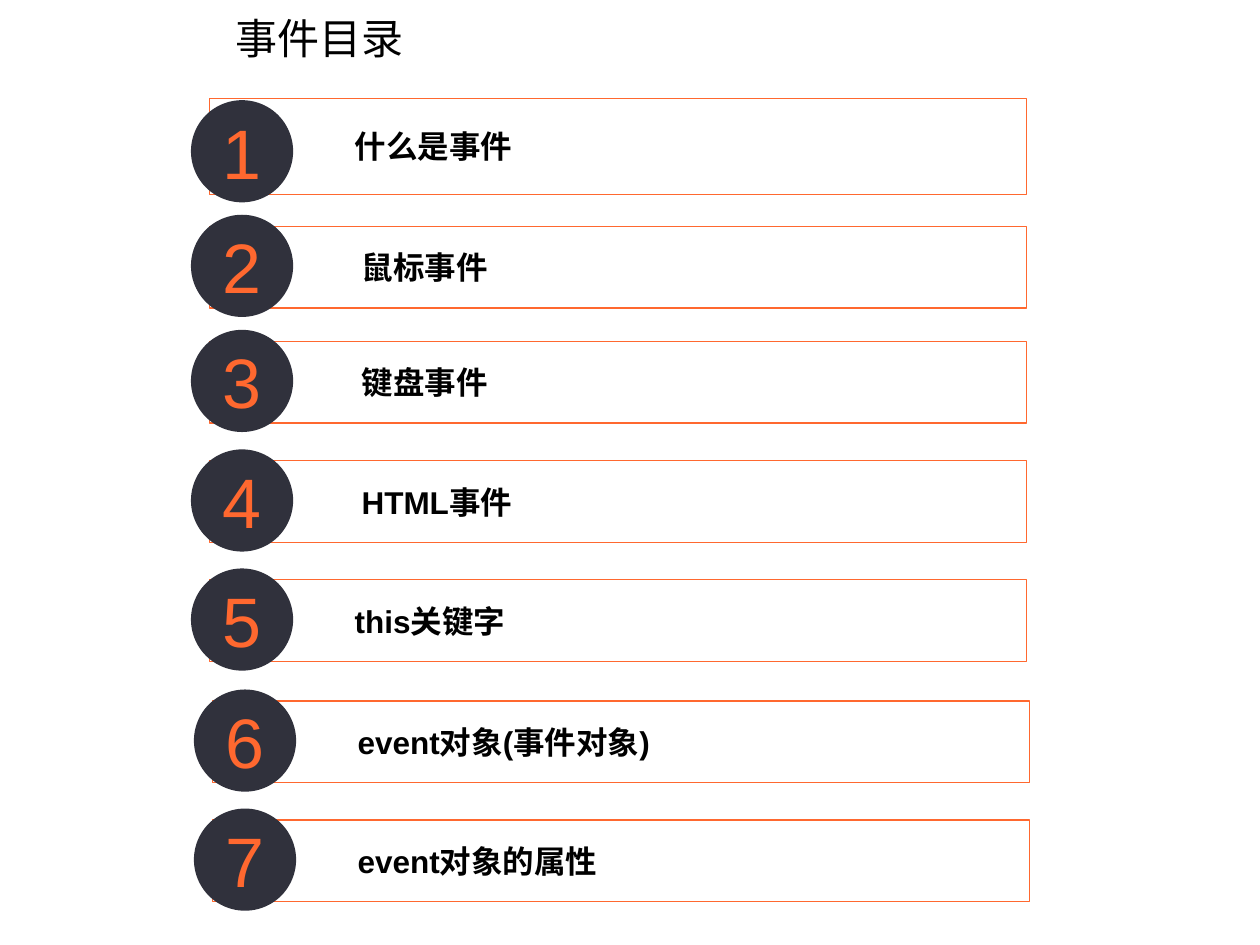
from typing import NamedTuple

from lxml import etree
from pptx import Presentation
from pptx.dml.color import RGBColor
from pptx.enum import shapes, text
from pptx.oxml import ns
from pptx.util import Cm, Pt

ORANGE, DARK, WHITE, BLACK = "FF682F", "30313C", "FFFFFF", "000000"
LATIN, CHINESE = "Arial", "Noto Sans CJK SC"

BAR_LEFT, BAR_WIDTH, BAR_HEIGHT = 4.23, 16.47, 1.65
BADGE_LEFT, BADGE_SIZE, BADGE_RISE = 3.85, 2.06, 0.23
LABEL_INSET, LABEL_INDENT = 2.92, 0.14


class Topic(NamedTuple):
    label: str
    top: float
    height: float = BAR_HEIGHT
    rise: float = BADGE_RISE
    shift: float = 0
    indent: float = 0


TOPICS = [
    Topic("什么是事件", 1.98, height=1.94, rise=-0.04),
    Topic("鼠标事件", 4.56, indent=LABEL_INDENT),
    Topic("键盘事件", 6.88, indent=LABEL_INDENT),
    Topic("HTML事件", 9.29, indent=LABEL_INDENT),
    Topic("this关键字", 11.69),
    Topic("event对象(事件对象)", 14.13, shift=0.06),
    Topic("event对象的属性", 16.53, shift=0.06),
]


def color(hex_code: str) -> RGBColor:
    return RGBColor.from_string(hex_code)


def write(shape, words: str, *, size: float, ink: str = BLACK, bold: bool = False,
          font: str = LATIN, align=text.PP_ALIGN.LEFT, anchor=text.MSO_ANCHOR.MIDDLE,
          insets: tuple = (0.25, 0.13, 0.25, 0.13)) -> None:
    frame = shape.text_frame
    frame.word_wrap = True
    frame.vertical_anchor = anchor
    frame.margin_left, frame.margin_top, frame.margin_right, frame.margin_bottom = map(Cm, insets)
    paragraph = frame.paragraphs[0]
    paragraph.alignment = align
    run = paragraph.add_run()
    run.text = words
    run.font.size, run.font.bold, run.font.name = Pt(size), bold, font
    run.font.color.rgb = color(ink)
    east_asian = etree.SubElement(run.font._element, ns.qn("a:ea"))
    east_asian.set("typeface", CHINESE)


def add_filled(slide, kind, left: float, top: float, width: float, height: float, fill: str):
    shape = slide.shapes.add_shape(kind, Cm(left), Cm(top), Cm(width), Cm(height))
    shape.shadow.inherit = False
    shape.fill.solid()
    shape.fill.fore_color.rgb = color(fill)
    return shape


def set_opacity(shape, percent: int) -> None:
    fill = shape._element.spPr.find(ns.qn("a:solidFill"))
    etree.SubElement(fill[0], ns.qn("a:alpha")).set("val", str(percent * 1000))


def add_topic(slide, number: int, topic: Topic) -> None:
    bar = add_filled(slide, shapes.MSO_SHAPE.RECTANGLE, BAR_LEFT + topic.shift, topic.top,
                     BAR_WIDTH, topic.height, WHITE)
    set_opacity(bar, 40)
    bar.line.color.rgb = color(ORANGE)
    bar.line.width = Pt(0.75)
    write(bar, topic.label, size=18, bold=True,
          insets=(LABEL_INSET + topic.indent, 0.2, 0.2, 0.2))

    badge = add_filled(slide, shapes.MSO_SHAPE.OVAL, BADGE_LEFT + topic.shift,
                       topic.top - topic.rise, BADGE_SIZE, BADGE_SIZE, DARK)
    badge.line.fill.background()
    write(badge, str(number), size=40, ink=ORANGE, align=text.PP_ALIGN.CENTER)


def main() -> None:
    deck = Presentation()
    deck.slide_width, deck.slide_height = Cm(25.4), Cm(19.05)
    slide = deck.slides.add_slide(deck.slide_layouts[6])

    title = slide.shapes.add_textbox(Cm(4.5), Cm(0.13), Cm(10.21), Cm(1.27))
    write(title, "事件目录", size=24, font=CHINESE, anchor=text.MSO_ANCHOR.TOP)

    for number, topic in enumerate(TOPICS, start=1):
        add_topic(slide, number, topic)

    deck.save("out.pptx")


if __name__ == "__main__":
    main()
